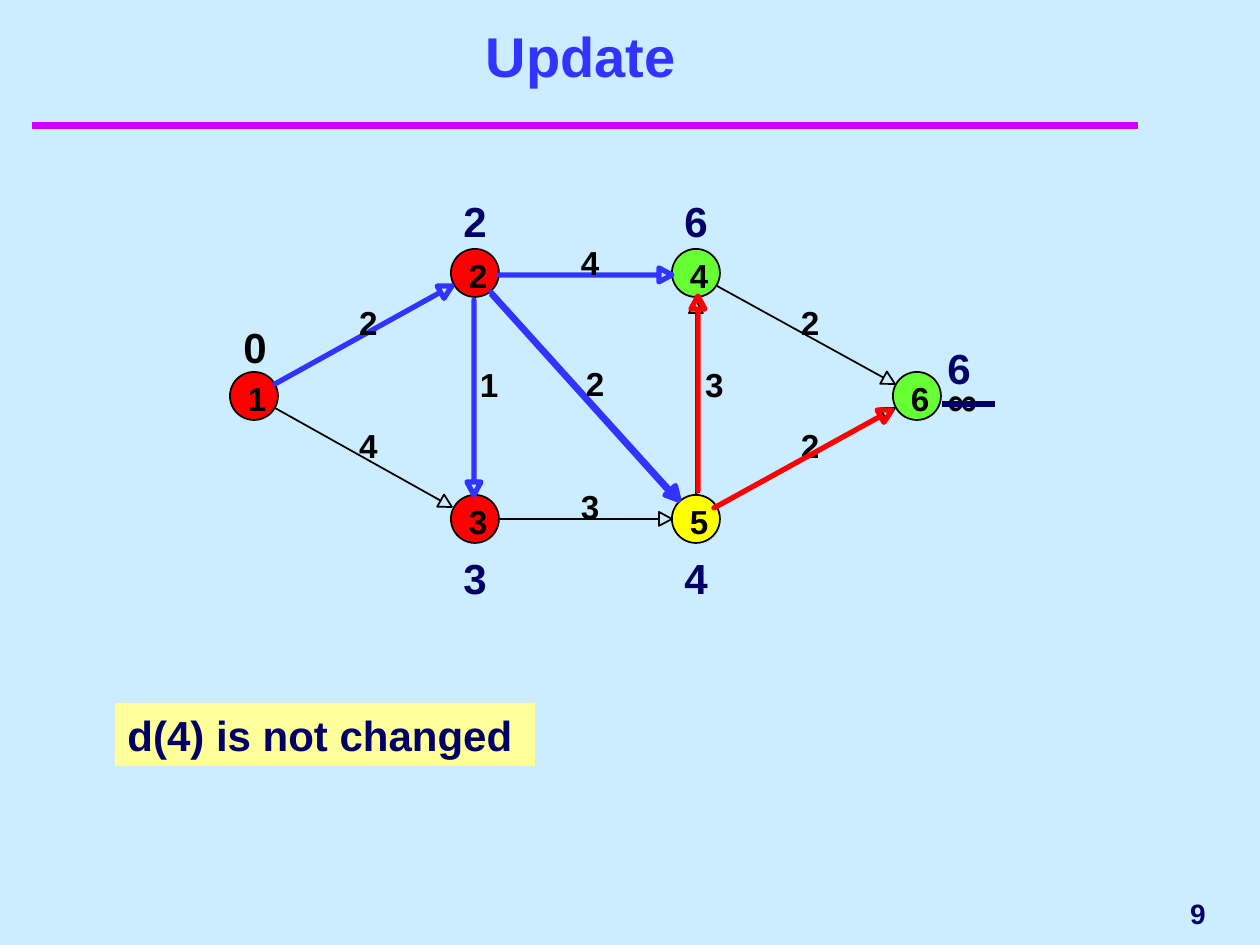
import math
from lxml import etree
from pptx import Presentation, util as u
from pptx.dml.color import RGBColor
from pptx.enum import shapes, text
from pptx.oxml.ns import qn

PX = 914400 // 126
SKY = RGBColor(0xCC, 0xEC, 0xFF)
BLACK = RGBColor(0, 0, 0)
NAVY = RGBColor(0, 0, 0x66)
BLUE = RGBColor(0x33, 0x33, 0xFF)
RED = RGBColor(0xFF, 0, 0)
GREEN = RGBColor(0x66, 0xFF, 0x33)
YELLOW = RGBColor(0xFF, 0xFF, 0)
CREAM = RGBColor(0xFF, 0xFF, 0x99)
PINK = RGBColor(0xCC, 0, 0xFF)
LEFT, MID, RIGHT = text.PP_ALIGN.LEFT, text.PP_ALIGN.CENTER, text.PP_ALIGN.RIGHT
TOP, CORE, BASE = (text.MSO_ANCHOR.TOP, text.MSO_ANCHOR.MIDDLE,
                   text.MSO_ANCHOR.BOTTOM)
THIN, THICK = 0.99, 3
DIAM = 48            # node diameter
COL, ROW = 221, 123  # node grid steps

# Nodes: name, column, row, fill
NODES = [("1", 0, 1, RED), ("2", 1, 0, RED), ("3", 1, 2, RED),
         ("4", 2, 0, GREEN), ("5", 2, 2, YELLOW), ("6", 3, 1, GREEN)]
# Edges: start, tip, colour, width, weight, weight position
EDGES = [
    ((45, 135), (222, 37), BLUE, THICK, "2", (129, 53)),
    ((269, 26), (442, 26), BLUE, THICK, "4", (351, -7)),
    ((261, 43), (449, 251), BLUE, THICK, "2", (356, 114)),
    ((244, 51), (244, 246), BLUE, THICK, "1", (250, 115)),
    ((269, 270), (442, 270), BLACK, THIN, "3", (351, 237)),
    ((45, 159), (222, 258), BLACK, THIN, "4", (129, 176)),
    ((487, 37), (665, 135), BLACK, THIN, "2", (571, 53)),
    ((466, 246), (466, 51), BLACK, THIN, "3", (475, 115)),
    ((487, 258), (665, 159), BLACK, THIN, "2", (571, 176)),
]
# Edges of the current update step
STEPS = [((468, 242), (468, 47)), ((484, 259), (662, 161))]
# Distances: value, position, colour
DISTS = [("0", (1, 66), BLACK), ("2", (221, -60), NAVY), ("3", (221, 297), NAVY),
         ("6", (442, -60), NAVY), ("4", (442, 297), NAVY),
         ("∞", (705, 119), BLACK), ("6", (705, 87), NAVY)]


def px(*vals):
    return [u.Emu(round(v * PX)) for v in vals]


def write(slide, box, words, size, color, align=LEFT, anchor=TOP, pad=True, fill=None):
    item = slide.shapes.add_textbox(*px(*box))
    if fill is not None:
        item.fill.solid()
        item.fill.fore_color.rgb = fill
    frame = item.text_frame
    frame.word_wrap = pad
    frame.vertical_anchor = anchor
    if not pad:
        frame.margin_left = frame.margin_right = 0
        frame.margin_top = frame.margin_bottom = 0
    frame.text = words
    para = frame.paragraphs[0]
    para.alignment = align
    font = para.runs[0].font
    font.name, font.size, font.bold = "Arial", u.Pt(size), True
    font.color.rgb = color


def rule(slide, start, end, color, width, head=False):
    line = slide.shapes.add_connector(shapes.MSO_CONNECTOR.STRAIGHT,
                                      *px(*start, *end))
    line.line.color.rgb = color
    line.line.width = u.Pt(width)
    props = line._element.spPr
    if head:
        etree.SubElement(props.find(qn("a:ln")), qn("a:tailEnd"), type="triangle")
    etree.SubElement(props, qn("a:effectLst"))


def arrow(slide, start, tip, color, width):
    """Outline arrow: a shaft and an open triangular head."""
    (x, y), (tx, ty) = start, tip
    size = math.hypot(tx - x, ty - y)
    dx, dy = (tx - x) / size, (ty - y) / size
    bx, by = tx - 13 * dx, ty - 13 * dy
    wx, wy = -7 * dy, 7 * dx
    path = slide.shapes.build_freeform(*px(x, y), scale=1.0)
    path.add_line_segments([px(*p) for p in (
        (bx, by), (bx + wx, by + wy), tip, (bx - wx, by - wy), (bx, by))], close=True)
    item = path.convert_to_shape()
    item.shadow.inherit = False
    item.fill.background()
    item.line.color.rgb = color
    item.line.width = u.Pt(width)


def node(slide, x, y, name, fill):
    disc = slide.shapes.add_shape(shapes.MSO_SHAPE.OVAL, *px(x, y, DIAM, DIAM))
    disc.shadow.inherit = False
    disc.fill.solid()
    disc.fill.fore_color.rgb = fill
    disc.line.color.rgb = BLACK
    disc.line.width = u.Pt(THIN)
    write(slide, (x + 18, y + 6, 19, 40), name, 19, BLACK, pad=False)


def graph(slide, left, top):
    def at(spot):
        return left + spot[0], top + spot[1]

    for name, col, row, fill in NODES:
        node(slide, *at((col * COL, row * ROW)), name, fill)
    for start, tip, color, width, weight, spot in EDGES:
        arrow(slide, at(start), at(tip), color, width)
        write(slide, (*at(spot), 19, 40), weight, 19, BLACK, pad=False)
    for start, tip in STEPS:
        arrow(slide, at(start), at(tip), RED, THICK)
    for value, spot, color in DISTS:
        write(slide, (*at(spot), 63, 63), value, 24, color)
    # Strike through the old distance, then stress the edge from 2 to 5
    rule(slide, at((765, 155)), at((712, 155)), NAVY, THICK)
    rule(slide, at((261, 45)), at((449, 254)), BLUE, THICK, head=True)


def header(slide, left, top, width):
    rule(slide, (left, top + 84), (left + 1106, top + 84), PINK, 4)
    write(slide, (left + 21, top, width, 53), "Update ", 32, BLUE, MID, BASE)


def footer(slide, left, top):
    write(slide, (left, top, 242, 63), "9", 16, NAVY, RIGHT, CORE)


deck = Presentation()
deck.slide_width, deck.slide_height = px(1260, 945)
page = deck.slides.add_slide(deck.slide_layouts[6])
page.background.fill.solid()
page.background.fill.fore_color.rgb = SKY
header(page, 32, 42, 1071)
graph(page, 230, 249)
# Remark
write(page, (115, 703, 420, 63), "d(4) is not changed", 24, NAVY, fill=CREAM)
footer(page, 976, 882)
deck.save("out.pptx")
